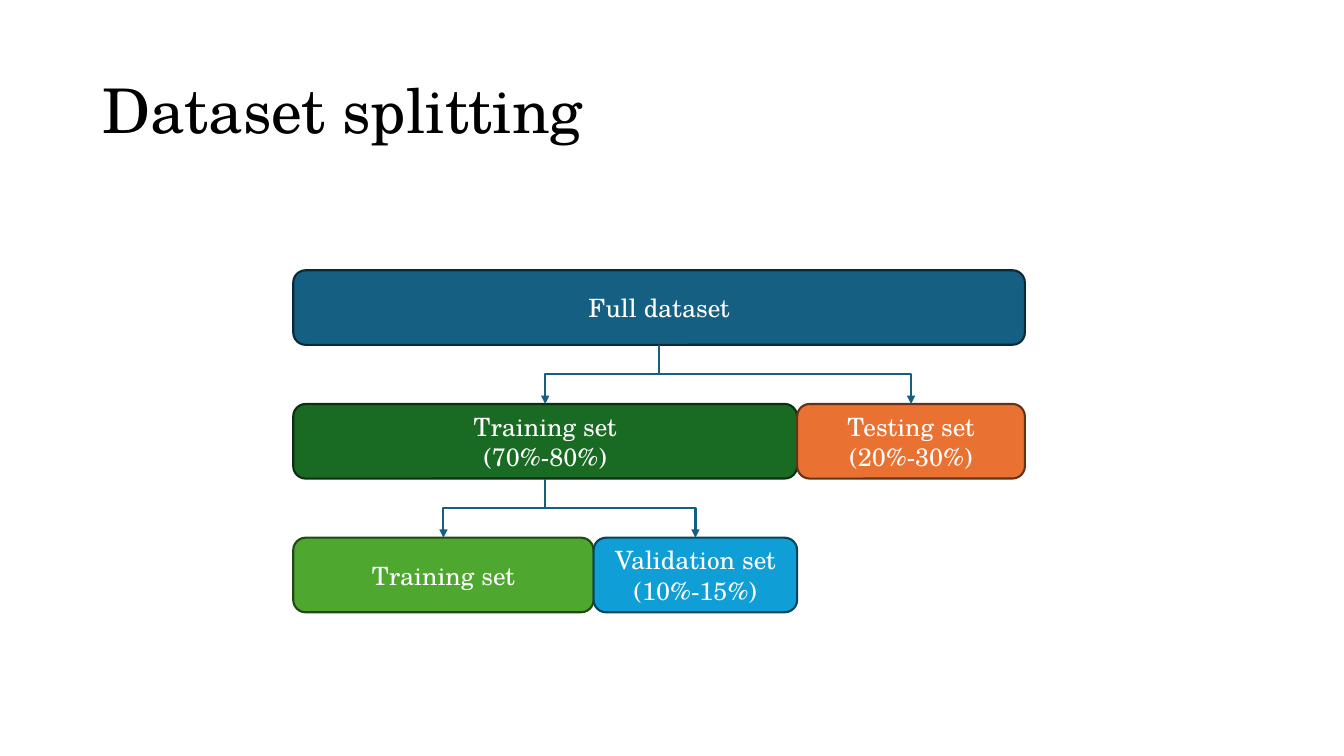
from lxml.etree import SubElement
from pptx import Presentation
from pptx.dml.color import RGBColor
from pptx.enum.shapes import MSO_CONNECTOR, MSO_SHAPE
from pptx.enum.text import MSO_ANCHOR, MSO_AUTO_SIZE, PP_ALIGN
from pptx.oxml.ns import qn
from pptx.util import Cm, Pt

BLACK = RGBColor(0x00, 0x00, 0x00)
WHITE = RGBColor(0xFF, 0xFF, 0xFF)
BLUE = RGBColor(0x15, 0x60, 0x82)
NAVY = RGBColor(0x09, 0x2A, 0x39)
GREEN = RGBColor(0x19, 0x6B, 0x24)
PINE = RGBColor(0x0B, 0x2F, 0x10)
ORANGE = RGBColor(0xE9, 0x71, 0x32)
BROWN = RGBColor(0x66, 0x32, 0x16)
LIME = RGBColor(0x4E, 0xA7, 0x2E)
MOSS = RGBColor(0x22, 0x49, 0x14)
SKY = RGBColor(0x0F, 0x9E, 0xD5)
TEAL = RGBColor(0x07, 0x45, 0x5D)

TITLE = "Dataset splitting"
ROWS = [
    [("full", "Full dataset", 18.44, BLUE, NAVY)],
    [("train", "Training set\n(70%-80%)", 12.7, GREEN, PINE),
     ("test", "Testing set\n(20%-30%)", 5.74, ORANGE, BROWN)],
    [("fit", "Training set", 7.57, LIME, MOSS),
     ("valid", "Validation set\n(10%-15%)", 5.13, SKY, TEAL)],
]
LINKS = [("full", "train"), ("full", "test"), ("train", "fit"), ("train", "valid")]

LEFT, TOP, HIGH, PITCH = 7.39, 6.81, 1.88, 3.37
EDGE = Pt(1.5)
FACE = "TeX Gyre Schola"
HEAD = {"name": FACE, "size": Pt(44)}
BODY = {"name": FACE, "size": Pt(18)}
FRAME = {"word_wrap": True, "auto_size": MSO_AUTO_SIZE.NONE,
         "vertical_anchor": MSO_ANCHOR.MIDDLE}
PLACE = {"left": Cm(2.33), "top": Cm(1.01), "width": Cm(29.21), "height": Cm(3.68)}


def apply(item, values):
    for name, value in values.items():
        setattr(item, name, value)


def write(shape, text, font, color, para):
    frame = shape.text_frame
    frame.text = text
    apply(frame, FRAME)
    for line in frame.paragraphs:
        apply(line, para)
        apply(line.font, font)
        line.font.color.rgb = color


def add_box(slide, left, top, width, text, fill, edge):
    box = slide.shapes.add_shape(MSO_SHAPE.ROUNDED_RECTANGLE,
                                 Cm(left), Cm(top), Cm(width), Cm(HIGH))
    box.shadow.inherit = False
    box.fill.solid()
    box.fill.fore_color.rgb = fill
    box.line.color.rgb = edge
    box.line.width = EDGE
    write(box, text, BODY, WHITE, {"alignment": PP_ALIGN.CENTER})
    return box


def add_link(slide, start, end):
    x1, y1 = start.left + start.width // 2, start.top + start.height
    x2, y2 = end.left + end.width // 2, end.top
    link = slide.shapes.add_connector(MSO_CONNECTOR.ELBOW, x1, y1, x2, y2)
    link.begin_connect(start, 2)
    link.end_connect(end, 0)
    drop, run = y2 - y1, abs(x2 - x1)
    props = link._element.spPr
    form = props.find(qn("a:xfrm"))
    form.attrib.clear()
    if x2 < x1:
        form.set("rot", "5400000")
    else:
        form.set("rot", "16200000")
        form.set("flipH", "1")
    apply(link, {"left": (x1 + x2 - drop) // 2, "top": (y1 + y2 - run) // 2,
                 "width": drop, "height": run})
    link.line.color.rgb = BLUE
    link.line.width = EDGE
    SubElement(props.find(qn("a:ln")), qn("a:tailEnd"), type="triangle")
    SubElement(props, qn("a:effectLst"))


def main():
    deck = Presentation()
    apply(deck, {"slide_width": Cm(33.87), "slide_height": Cm(19.05)})
    slide = deck.slides.add_slide(deck.slide_layouts[5])
    title = slide.shapes.title
    apply(title, PLACE)
    write(title, TITLE, HEAD, BLACK,
          {"alignment": PP_ALIGN.LEFT, "line_spacing": 0.9})
    boxes = {}
    for index, row in enumerate(ROWS):
        left = LEFT
        for key, text, width, fill, edge in row:
            boxes[key] = add_box(slide, left, TOP + index * PITCH,
                                 width, text, fill, edge)
            left += width
    for start, end in LINKS:
        add_link(slide, boxes[start], boxes[end])
    deck.save("out.pptx")


if __name__ == "__main__":
    main()
